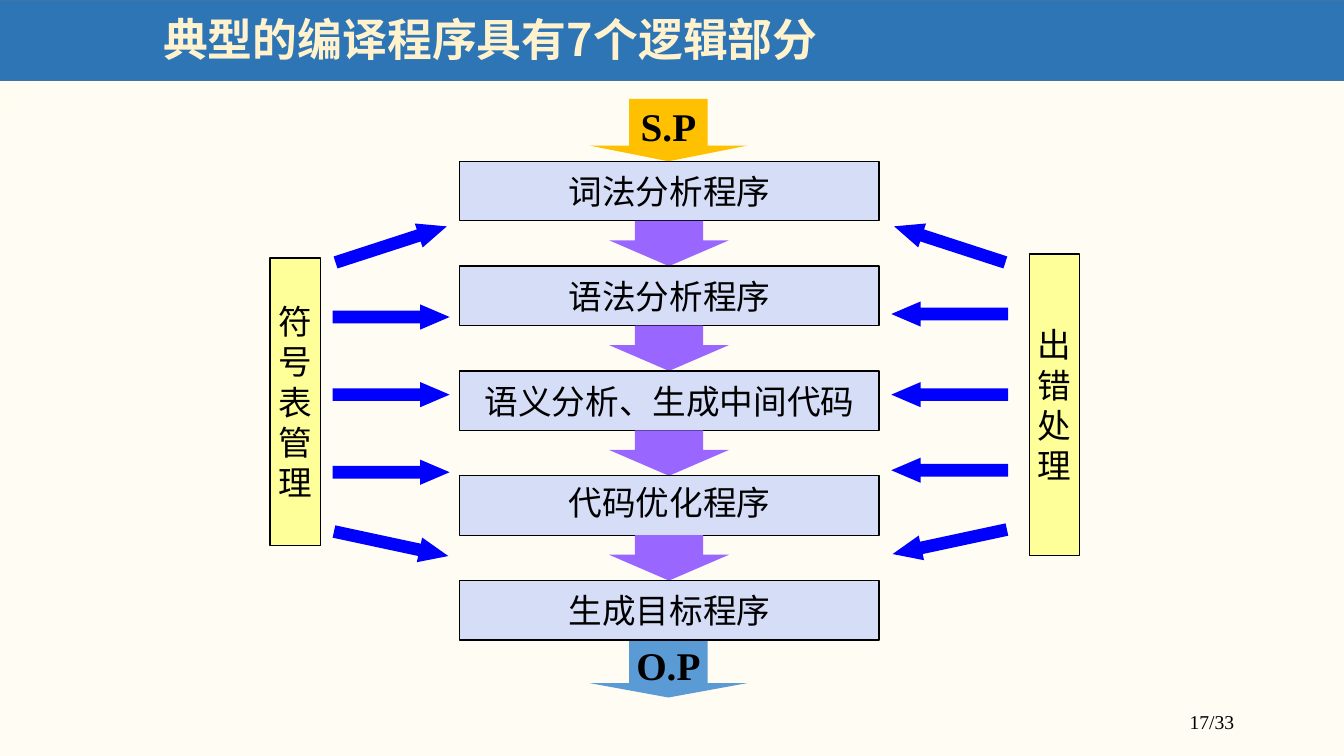
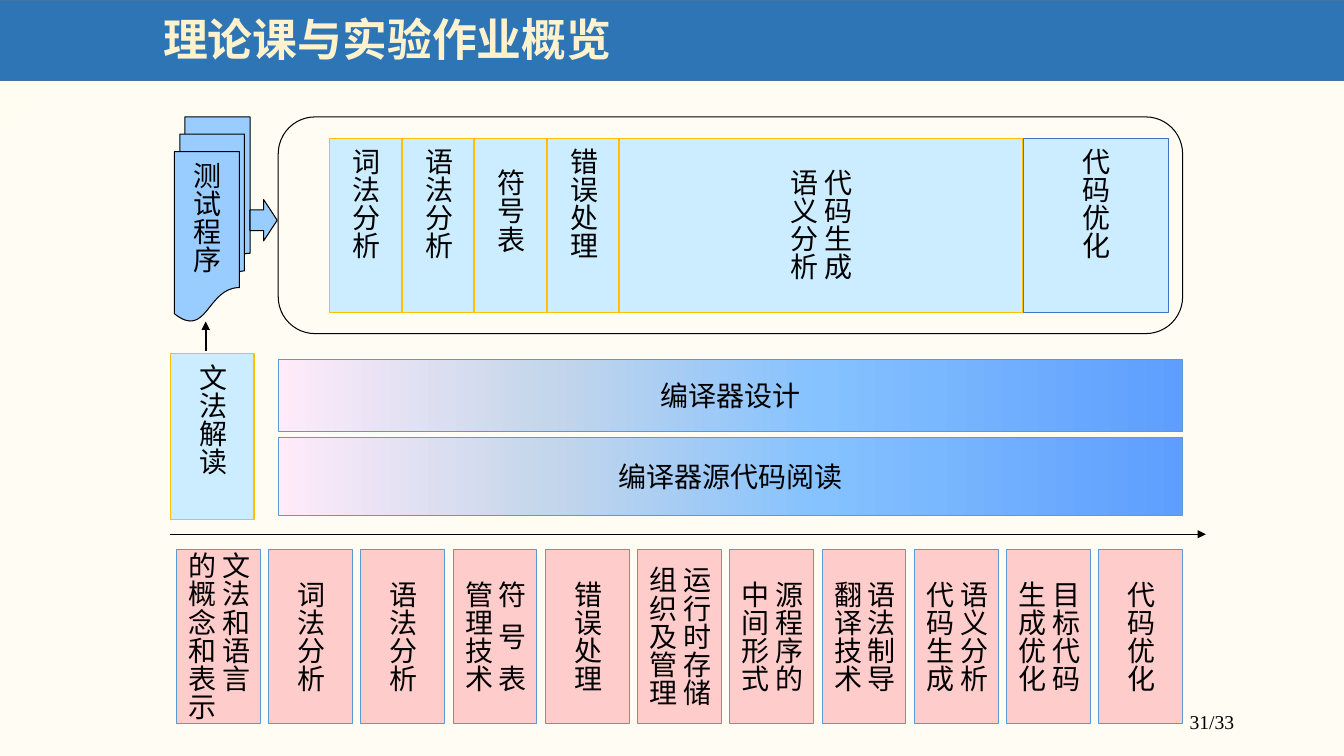
from pptx import Presentation
from pptx import util as u
from pptx.dml.color import RGBColor
from pptx.enum import shapes, text
from pptx.oxml.ns import qn
from lxml import etree

Inches, Pt = u.Inches, u.Pt
KIND, ALIGN, ANCHOR = shapes.MSO_SHAPE, text.PP_ALIGN, text.MSO_ANCHOR

# Shared style
CJK, SERIF = "Noto Sans CJK SC", "Times New Roman"
BLACK = RGBColor(0x00, 0x00, 0x00)
BAND, BAND_EDGE = RGBColor(0x2E, 0x75, 0xB6), RGBColor(0x43, 0x73, 0x9E)
CREAM = RGBColor(0xFF, 0xF2, 0xCC)
YELLOW, LAVENDER = RGBColor(0xFF, 0xFF, 0x99), RGBColor(0xD6, 0xDD, 0xF6)
PURPLE, PURE_BLUE = RGBColor(0x99, 0x66, 0xFF), RGBColor(0x00, 0x00, 0xFF)
GOLD, STEEL = RGBColor(0xFF, 0xC0, 0x00), RGBColor(0x5B, 0x9B, 0xD5)
ICE, SKY = RGBColor(0xCC, 0xEC, 0xFF), RGBColor(0x99, 0xCC, 0xFF)
PINK, ROYAL = RGBColor(0xFF, 0xCC, 0xCC), RGBColor(0x44, 0x72, 0xC4)
PAPER = [(88, "FFFCF3"), (94, "FFFCF1"), (100, "FFFBEF")]
BAR_BLEND = [(0, "5E9EFF"), (40, "85C2FF"), (70, "C4D6EB"), (100, "FFEBFA")]

# Compiler phases
PHASES_TITLE = "典型的编译程序具有7个逻辑部分"
PHASES = ["词法分析程序", "语法分析程序", "语义分析、生成中间代码", "代码优化程序", "生成目标程序"]
TIGHT_PHASE = "代码优化程序"
ENDS = [("S.P", 0.98, 0.62, GOLD), ("O.P", 6.35, 0.57, STEEL)]
# label, label box, arrow kind, arrow left, arrow tops, tilt of first and last arrow
HELPERS = [
    ("符号表管理", (2.68, 2.56, 0.5, 2.85), KIND.RIGHT_ARROW, 3.3,
     (2.3, 3.02, 3.79, 4.56, 5.27), (-18, 12.1)),
    ("出错处理", (10.21, 2.52, 0.5, 2.99), KIND.LEFT_ARROW, 8.84,
     (2.3, 2.99, 3.79, 4.54, 5.25), (18, -12.1)),
]

# Course overview
COURSE_TITLE = "理论课与实验作业概览"
# lines, left, width, edge, extra format
MODULES = [
    (["词法分析"], 3.27, 0.71, GOLD, {}),
    (["语法分析"], 3.99, 0.71, GOLD, {}),
    (["符号表"], 4.71, 0.71, GOLD, {"align": ALIGN.JUSTIFY, "inset": (0.1, 0.31)}),
    (["错误处理"], 5.43, 0.71, GOLD, {}),
    (["代码生成", "语义分析"], 6.14, 4, GOLD,
     {"align": ALIGN.RIGHT, "inset": (0, 0), "middle": True}),
    (["代码优化"], 10.15, 1.44, ROYAL, {}),
]
BARS = [("编译器设计", 3.57, 0.71), ("编译器源代码阅读", 4.34, 0.77)]
LECTURES = [
    ["文法和语言", "的概念和表示"], ["词法分析"], ["语法分析"], ["符号表", "管理技术"],
    ["错误处理"], ["运行时存储", "组织及管理"], ["源程序的", "中间形式"],
    ["语法制导", "翻译技术"], ["语义分析", "代码生成"], ["目标代码", "生成优化"], ["代码优化"],
]
LECTURES_LEFT, LAST_LECTURE = 1.75, 10.9
WIDE_SPACED = ["符号表", "管理技术"]


def write(shape, lines, size=20, font=CJK, color=BLACK, bold=False, align=ALIGN.CENTER,
          anchor=ANCHOR.MIDDLE, wrap=True, inset=None, vertical=False, middle=False,
          spacing=None):
    frame = shape.text_frame
    settings = {"word_wrap": wrap, "vertical_anchor": anchor}
    if inset:
        across, down = map(Inches, inset)
        settings.update(margin_left=across, margin_right=across,
                        margin_top=down, margin_bottom=down)
    for name, value in settings.items():
        setattr(frame, name, value)
    body = frame._txBody.find(qn("a:bodyPr"))
    if vertical:
        body.set("vert", "eaVert")
    if middle:
        body.set("anchorCtr", "1")
    for number, line in enumerate(lines):
        para = frame.add_paragraph() if number else frame.paragraphs[0]
        para.alignment = align
        if spacing:
            para.line_spacing = spacing
        span = para.add_run()
        span.text = line
        for name, value in {"size": Pt(size), "name": font, "bold": bold}.items():
            setattr(span.font, name, value)
        span.font.color.rgb = color
        etree.SubElement(span.font._element, qn("a:ea")).set("typeface", font)


def blend(owner, fill, stops, angle):
    fill.gradient()
    gradient = owner.find(".//" + qn("a:gradFill"))
    for child in list(gradient):
        gradient.remove(child)
    stop_list = etree.SubElement(gradient, qn("a:gsLst"))
    for percent, color in stops:
        stop = etree.SubElement(stop_list, qn("a:gs"), pos=str(percent * 1000))
        etree.SubElement(stop, qn("a:srgbClr"), val=color)
    etree.SubElement(gradient, qn("a:lin"), ang=str(angle * 60000), scaled="0")


def add_box(page, kind, place, fill=None, edge=None, weight=0.75, adjust=(), tilt=0):
    box = page.shapes.add_shape(kind, *map(Inches, place))
    box.shadow.inherit = False
    box.rotation = tilt
    for number, value in enumerate(adjust):
        box.adjustments[number] = value
    if fill is None:
        box.fill.background()
    else:
        box.fill.solid()
        box.fill.fore_color.rgb = fill
    if edge is None:
        box.line.fill.background()
    else:
        box.line.color.rgb = edge
        box.line.width = Pt(weight)
    return box


def add_text(page, place, line, **style):
    write(page.shapes.add_textbox(*map(Inches, place)), [line], **style)


def add_arrow_line(page, start, end, weight):
    line = page.shapes.add_connector(shapes.MSO_CONNECTOR.STRAIGHT,
                                     *map(Inches, start + end))
    line.line.color.rgb = BLACK
    line.line.width = Pt(weight)
    etree.SubElement(line.line._get_or_add_ln(), qn("a:tailEnd"), type="triangle")
    etree.SubElement(line._element.spPr, qn("a:effectLst"))


def add_page(deck, title, number):
    page = deck.slides.add_slide(deck.slide_layouts[6])
    blend(page._element, page.background.fill, PAPER, 225)
    add_text(page, (9.56, 6.83, 2.78, 0.5), number, size=14, font=SERIF,
             align=ALIGN.RIGHT, anchor=ANCHOR.BOTTOM)
    add_box(page, KIND.RECTANGLE, (-0.02, 0, 13.36, 0.8), BAND, BAND_EDGE, 1)
    add_text(page, (1.52, 0, 10.97, 0.83), title, size=32, color=CREAM, bold=True,
             align=ALIGN.LEFT, spacing=0.9)
    return page


def build_phases(deck):
    page = add_page(deck, PHASES_TITLE, "17/33")
    # Helpers on both sides with their arrows
    for label, place, kind, left, tops, (first, last) in HELPERS:
        box = add_box(page, KIND.RECTANGLE, place, YELLOW, BLACK, 1)
        write(box, list(label), size=24, wrap=False)
        for top, tilt in zip(tops, (first, 0, 0, 0, last)):
            add_box(page, kind, (left, top, 1.16, 0.25), PURE_BLUE,
                    adjust=(0.5, 1.17), tilt=tilt)
    # Input and output
    for label, top, height, color in ENDS:
        arrow = add_box(page, KIND.DOWN_ARROW, (5.85, top, 1.56, height), color,
                        adjust=(0.5, 0.25))
        write(arrow, [label], size=28, font=SERIF, bold=True, wrap=False)
    # Chain of phases
    top, height, pitch = 1.6, 0.59, 1.04
    for number, phase in enumerate(PHASES):
        if number:
            add_box(page, KIND.DOWN_ARROW, (6.04, top + height - pitch, 1.19, pitch - height),
                    PURPLE, adjust=(0.57, 0.57))
        box = add_box(page, KIND.RECTANGLE, (4.56, top, 4.16, height), LAVENDER, BLACK, 1)
        write(box, [phase], size=24, wrap=False,
              spacing=0.8 if phase == TIGHT_PHASE else None)
        top += pitch


def build_course(deck):
    page = add_page(deck, COURSE_TITLE, "31/33")
    # Long-running work
    for label, top, height in BARS:
        bar = add_box(page, KIND.RECTANGLE, (2.76, top, 8.97, height), ICE, STEEL)
        blend(bar._element, bar.fill, BAR_BLEND, 180)
        write(bar, [label])
    # Grammar, test programs and time axis
    grammar = add_box(page, KIND.RECTANGLE, (1.69, 3.51, 0.83, 1.64), ICE, GOLD)
    write(grammar, ["文法解读"], vertical=True)
    add_arrow_line(page, (2.04, 3.48), (2.04, 3.19), 1.5)
    add_arrow_line(page, (1.69, 5.3), (11.96, 5.3), 0.75)
    tests = add_box(page, KIND.FLOWCHART_MULTIDOCUMENT, (1.73, 1.16, 0.75, 2.03), SKY, BLACK)
    write(tests, ["测试程序"], vertical=True, wrap=False)
    # Compiler modules
    add_box(page, KIND.ROUNDED_RECTANGLE, (2.76, 1.16, 8.97, 2.15), None, BLACK,
            adjust=(0.17,))
    for lines, left, width, edge, style in MODULES:
        box = add_box(page, KIND.RECTANGLE, (left, 1.37, width, 1.73), ICE, edge)
        write(box, lines, vertical=True, **style)
    add_box(page, KIND.RIGHT_ARROW, (2.48, 1.98, 0.27, 0.41), SKY, BLACK)
    # Lectures along the axis
    pitch = (LAST_LECTURE - LECTURES_LEFT) / (len(LECTURES) - 1)
    for number, lines in enumerate(LECTURES):
        box = add_box(page, KIND.RECTANGLE,
                      (LECTURES_LEFT + number * pitch, 5.45, 0.83, 1.73), PINK, STEEL)
        write(box, lines, align=ALIGN.JUSTIFY, inset=(0, 0), vertical=True, middle=True)
        if lines == WIDE_SPACED:
            span = box.text_frame.paragraphs[0].runs[0]
            span.font._element.set("spc", "1000")


def main():
    deck = Presentation()
    deck.slide_width, deck.slide_height = Inches(13.33), Inches(7.5)
    build_phases(deck)
    build_course(deck)
    deck.save("out.pptx")


if __name__ == "__main__":
    main()
